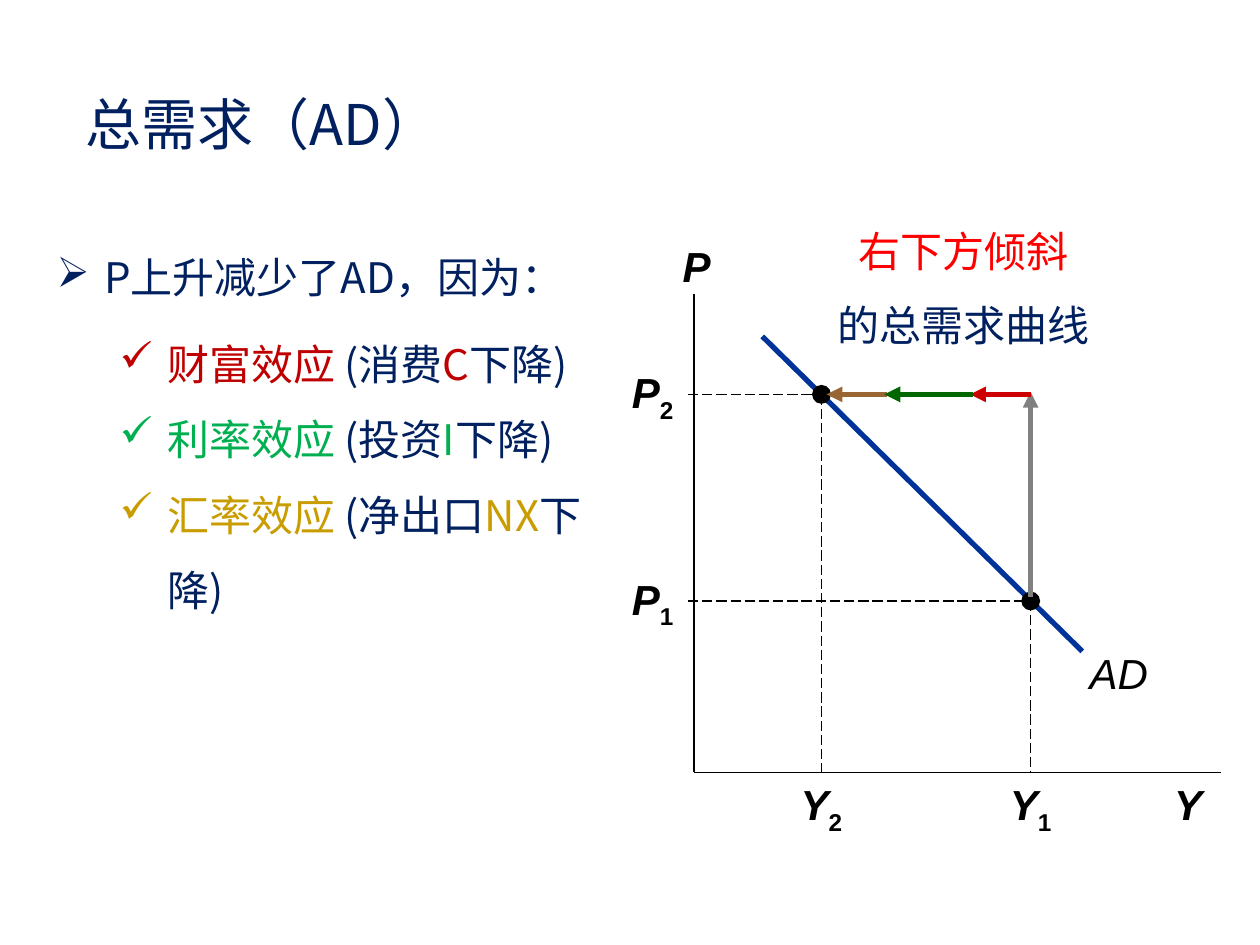
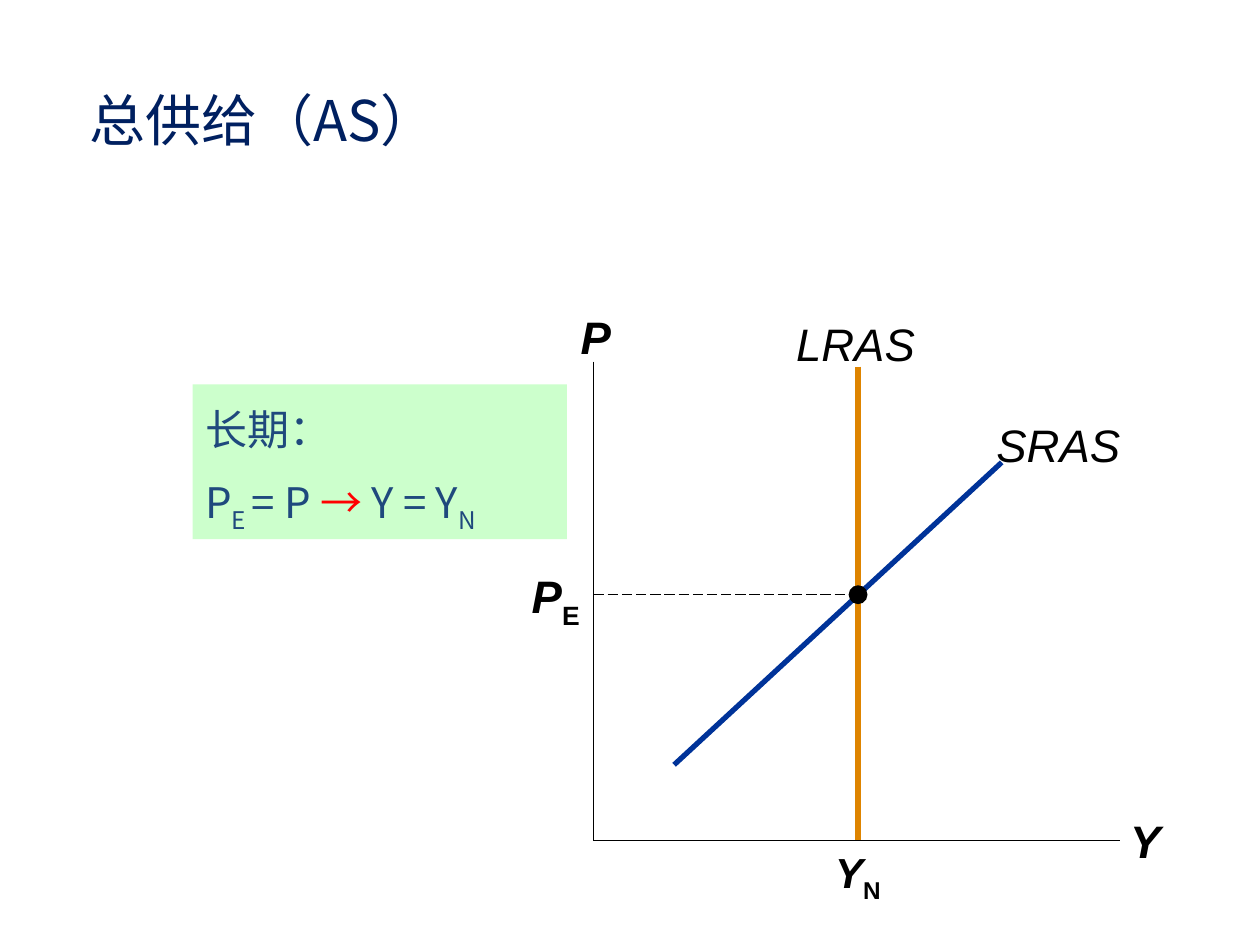
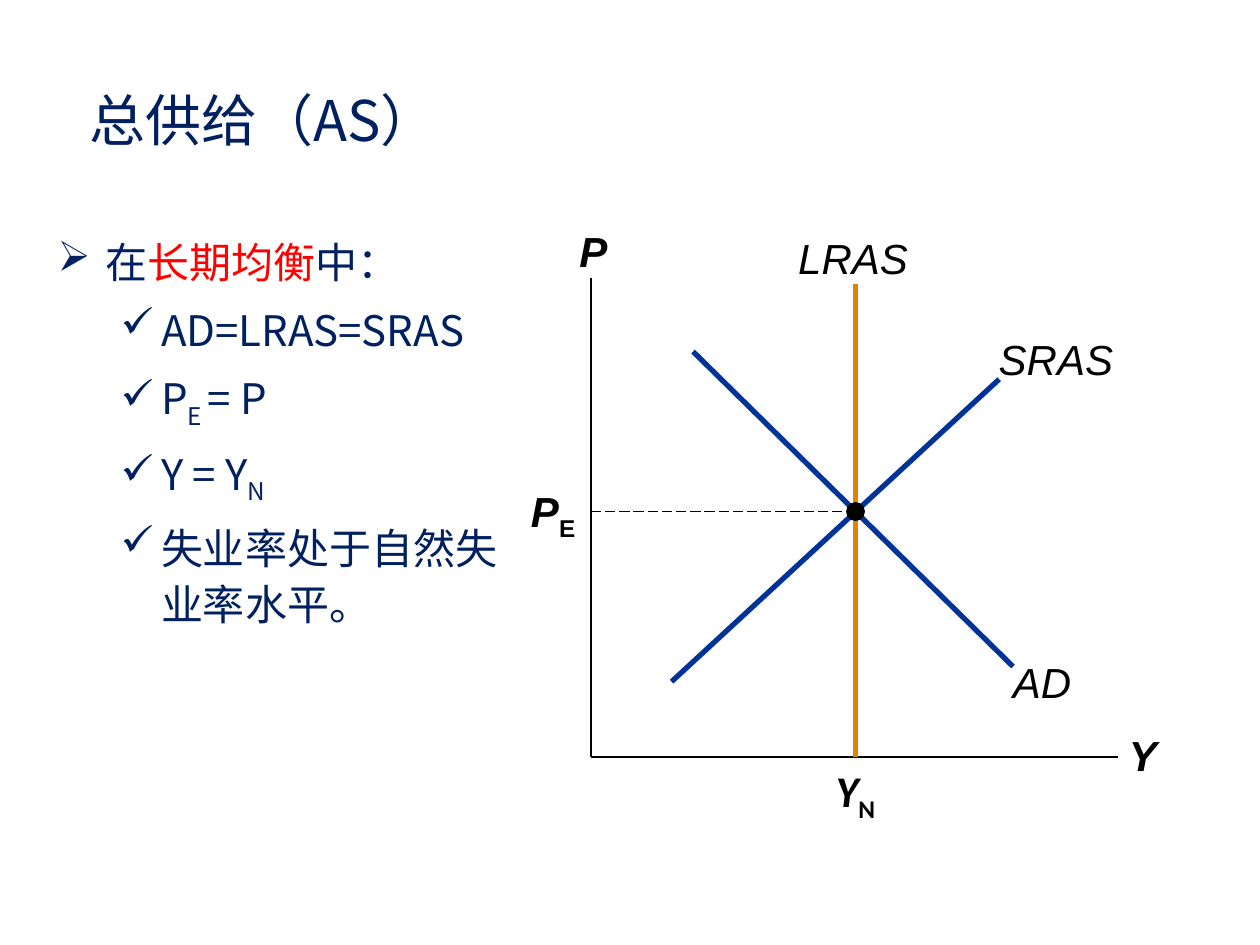
from lxml.etree import SubElement
from pptx import Presentation
from pptx.dml.color import RGBColor
from pptx.enum.dml import MSO_LINE
from pptx.enum.shapes import MSO_CONNECTOR, MSO_SHAPE
from pptx.enum.text import MSO_ANCHOR, PP_ALIGN
from pptx.oxml.ns import qn
from pptx.util import Inches, Pt

CHINESE_FONT = "Noto Sans CJK SC"
LABEL_FONT = "Arial"
NAVY = "002060"
BLACK = "000000"
RED = "FF0000"
CRIMSON = "C00000"
GREEN = "00B050"
GOLD = "C99C00"
CURVE_BLUE = "003399"
SUPPLY_ORANGE = "DE8400"
NOTE_BLUE = "1F497D"
NOTE_GREEN = "CCFFCC"

AXIS_WIDTH, AXIS_HEIGHT = 4.18, 3.8
DOT_SIZE = 0.15
EQUILIBRIUM = (2.1, 1.85)


def colour(code):
    return RGBColor.from_string(code)


def add_span(para, words, shade, size=24, font=CHINESE_FONT, bold=False, italic=False, subscript=False):
    span = para.add_run()
    span.text = words
    span.font.size = Pt(size)
    span.font.name = font
    span.font.bold = bold
    span.font.italic = italic
    span.font.color.rgb = colour(shade)
    properties = span.font._element
    if subscript:
        properties.set("baseline", "-25000")
    SubElement(properties, qn("a:ea")).set("typeface", font)


def fill_text(frame, paragraphs, spacing=None, before=0, align=PP_ALIGN.LEFT, size=24):
    frame.word_wrap = True
    frame.vertical_anchor = MSO_ANCHOR.TOP
    for index, spans in enumerate(paragraphs):
        para = frame.paragraphs[0] if index == 0 else frame.add_paragraph()
        para.alignment = align
        para.line_spacing = spacing
        para.space_before = Pt(before if index else 0)
        for words, shade, *lowered in spans:
            add_span(para, words, shade, size, subscript=bool(lowered))


def add_text(page, left, top, width, height, paragraphs, **style):
    box = page.shapes.add_textbox(Inches(left), Inches(top), Inches(width), Inches(height))
    fill_text(box.text_frame, paragraphs, **style)
    return box.text_frame


def set_indent(para, margin, hanging, bullet=None):
    properties = para._p.get_or_add_pPr()
    properties.set("marL", str(Inches(margin)))
    properties.set("indent", str(Inches(-hanging)))
    if bullet:
        SubElement(properties, qn("a:buChar")).set("char", bullet)


def add_outline(page, left, top, width, height, paragraphs, sub_margin, sub_hanging, **style):
    frame = add_text(page, left, top, width, height, paragraphs, **style)
    heading, *items = frame.paragraphs
    set_indent(heading, 0.38, 0.38, "➢")
    for item in items:
        item.level = 1
        set_indent(item, sub_margin, sub_hanging, "✓")
    return heading


def add_title(page, left, top, words):
    add_text(page, left, top, 3, 0.64, [[(words, NAVY)]], size=32)


class Graph:
    def __init__(self, page, left, top, size=24):
        self.page, self.left, self.top, self.size = page, left, top, size

    def line(self, start, end, shade=BLACK, width=1.0, dashed=False, arrow=False):
        points = [Inches(value) for x, y in (start, end) for value in (self.left + x, self.top + y)]
        connector = self.page.shapes.add_connector(MSO_CONNECTOR.STRAIGHT, *points)
        connector.line.color.rgb = colour(shade)
        connector.line.width = Pt(width)
        if dashed:
            connector.line.dash_style = MSO_LINE.LONG_DASH
        properties = connector._element.spPr
        if arrow:
            SubElement(properties.find(qn("a:ln")), qn("a:tailEnd")).set("type", "triangle")
        SubElement(properties, qn("a:effectLst"))

    def guide(self, start, end):
        self.line(start, end, width=0.75, dashed=True)

    def label(self, centre, top, width, name, subscript="", bold=True, size=None, font=LABEL_FONT):
        size = size or self.size
        height = size / 60 + (0 if subscript else 0.1)
        box = self.page.shapes.add_textbox(
            Inches(self.left + centre - width / 2), Inches(self.top + top), Inches(width), Inches(height))
        frame = box.text_frame
        frame.word_wrap = True
        if subscript:
            frame.margin_left = frame.margin_right = frame.margin_top = frame.margin_bottom = 0
        para = frame.paragraphs[0]
        para.alignment = PP_ALIGN.CENTER
        add_span(para, name, BLACK, size, font, bold, True)
        if subscript:
            add_span(para, subscript, BLACK, size, font, bold, subscript=True)

    def dot(self, x, y):
        dot = self.page.shapes.add_shape(
            MSO_SHAPE.OVAL, Inches(self.left + x - DOT_SIZE / 2), Inches(self.top + y - DOT_SIZE / 2),
            Inches(DOT_SIZE), Inches(DOT_SIZE))
        dot.shadow.inherit = False
        dot.fill.solid()
        dot.fill.fore_color.rgb = colour(BLACK)
        dot.line.fill.background()

    def axes(self, output_centre, output_top):
        self.line((0, 0), (0, AXIS_HEIGHT))
        self.line((0, AXIS_HEIGHT), (AXIS_WIDTH, AXIS_HEIGHT))
        self.label(0.02, -0.47, 0.46, "P")
        self.label(output_centre, output_top, 0.5, "Y")

    def demand(self, x, y, label_centre, label_top):
        self.line((x, y), (x + 2.54, y + 2.5), CURVE_BLUE, 3)
        self.label(label_centre, label_top, 0.87, "AD", bold=False)

    def supply(self, output_size, output_font):
        x, y = EQUILIBRIUM
        self.axes(4.38, 3.53)
        self.line((x, 0.04), (x, AXIS_HEIGHT), SUPPLY_ORANGE, 3)
        self.label(2.08, -0.41, 1.29, "LRAS", bold=False)
        self.line((0.64, 3.2), (3.24, 0.8), CURVE_BLUE, 3)
        self.label(3.69, 0.39, 1.29, "SRAS", bold=False)
        self.guide((0, y), (x, y))
        self.label(-0.3, y - 0.21, 0.53, "P", "E")
        self.label(x, 3.85, 0.53, "Y", "N", size=output_size, font=output_font)
        self.dot(x, y)


def draw_demand_graph(page, left, top):
    graph = Graph(page, left, top)
    graph.axes(3.92, AXIS_HEIGHT)
    graph.demand(0.54, 0.34, 3.37, 2.76)
    low_x, low_y = 2.67, 2.44
    high_x, high_y = 1.01, 0.8
    for x, y, number in ((low_x, low_y, "1"), (high_x, high_y, "2")):
        graph.guide((x, y), (x, AXIS_HEIGHT))
        graph.guide((-0.05, y), (x, y))
        graph.label(-0.33, y - 0.22, 0.53, "P", number)
        graph.label(x, 3.85, 0.53, "Y", number)
        graph.dot(x, y)
    graph.line((low_x, low_y - 0.03), (low_x, high_y - 0.02), "808080", 3, arrow=True)
    for start, end, shade in ((2.67, 2.19, "CC0000"), (1.53, 1.05, "996633"), (2.21, 1.51, "006600")):
        graph.line((start, high_y), (end, high_y), shade, 3, arrow=True)
    add_text(page, left + 0.94, top - 0.61, 2.39, 1.15,
             [[("右下方倾斜", RED)], [("的总需求曲线", NAVY)]],
             spacing=1.05, before=12, align=PP_ALIGN.CENTER)


def draw_long_run_note(page, left, top):
    note = page.shapes.add_shape(MSO_SHAPE.RECTANGLE, Inches(left), Inches(top), Inches(2.97), Inches(1.23))
    note.shadow.inherit = False
    note.fill.solid()
    note.fill.fore_color.rgb = colour(NOTE_GREEN)
    note.line.fill.background()
    fill_text(note.text_frame, [
        [("长期：", NOTE_BLUE)],
        [("P", NOTE_BLUE), ("E ", NOTE_BLUE, True), ("= P ", NOTE_BLUE), ("→ ", RED),
         ("Y = Y", NOTE_BLUE), ("N", NOTE_BLUE, True)],
    ], spacing=1.25, before=5)
    for para in note.text_frame.paragraphs:
        set_indent(para, 0.32, 0.32)


def build_demand_page(page):
    effects = (
        ("财富效应 ", "(消费", "C", CRIMSON),
        ("利率效应 ", "(投资", "I", GREEN),
        ("汇率效应 ", "(净出口", "NX", GOLD),
    )
    paragraphs = [[("P上升减少了AD，因为：", NAVY)]]
    for effect, component, symbol, shade in effects:
        paragraphs.append([(effect, shade), (component, NAVY), (symbol, shade), ("下降)", NAVY)])
    heading = add_outline(page, 0.35, 1.75, 4.58, 3.21, paragraphs, 0.88, 0.38, spacing=1.5)
    heading.space_after = Pt(6)
    draw_demand_graph(page, 5.51, 2.33)
    add_title(page, 0.58, 0.66, "总需求（AD）")


def build_supply_page(page):
    Graph(page, 4.71, 2.87, 26).supply(24, LABEL_FONT)
    draw_long_run_note(page, 1.53, 3.05)
    add_title(page, 0.61, 0.63, "总供给（AS）")


def build_equilibrium_page(page):
    add_outline(page, 0.36, 1.79, 3.73, 3.9, [
        [("在", NAVY), ("长期均衡", RED), ("中：", NAVY)],
        [("AD=LRAS=SRAS", NAVY)],
        [("P", NAVY), ("E ", NAVY, True), ("= P", NAVY)],
        [("Y = Y", NAVY), ("N", NAVY, True)],
        [("失业率处于自然失业率水平。", NAVY)],
    ], 0.82, 0.32, spacing=1.1, before=7)
    graph = Graph(page, 4.69, 2.21)
    graph.demand(0.81, 0.58, 3.58, 2.95)
    graph.supply(25, "Calibri")
    add_title(page, 0.61, 0.63, "总供给（AS）")


def main():
    deck = Presentation()
    deck.slide_width, deck.slide_height = Inches(10), Inches(7.5)
    for build in (build_demand_page, build_supply_page, build_equilibrium_page):
        build(deck.slides.add_slide(deck.slide_layouts[6]))
    deck.save("out.pptx")


if __name__ == "__main__":
    main()
